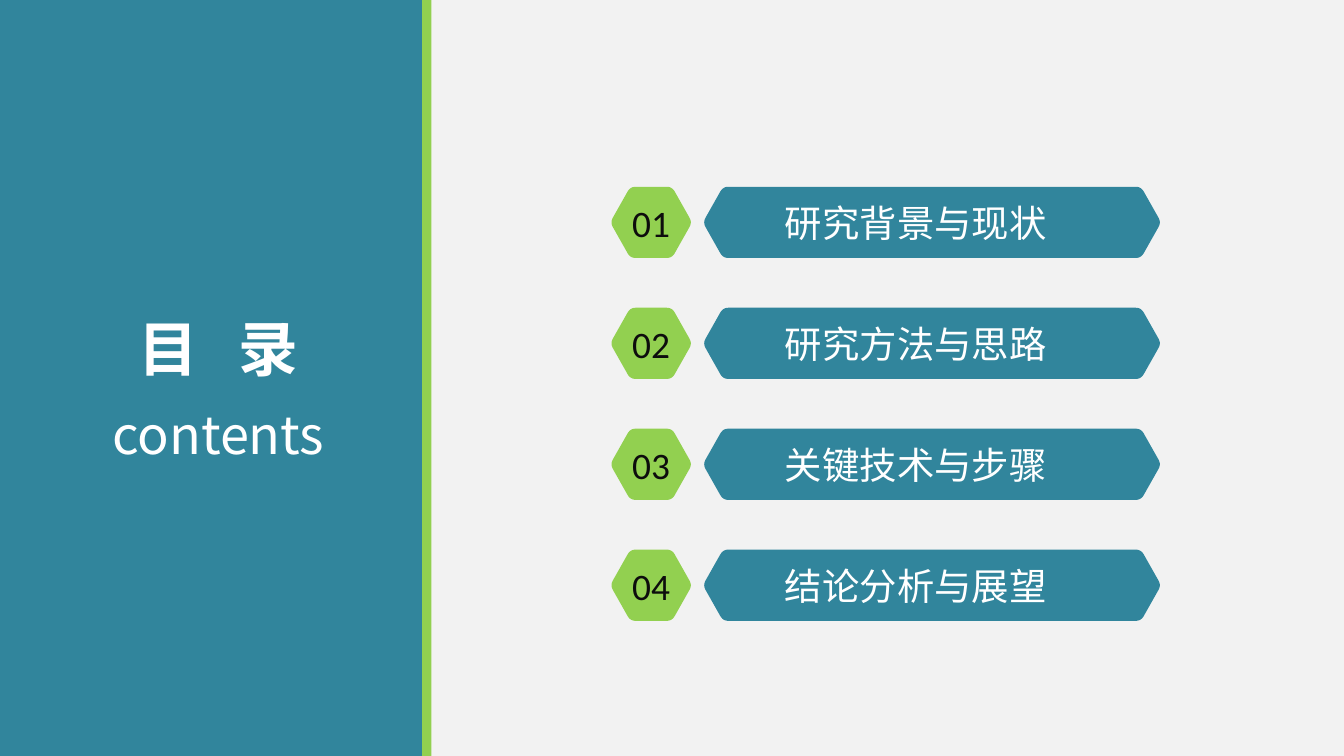
from lxml.etree import SubElement
from pptx import Presentation
from pptx.dml.color import RGBColor
from pptx.enum.shapes import MSO_SHAPE as Preset
from pptx.enum.text import MSO_ANCHOR as Anchor, MSO_AUTO_SIZE as AutoSize, PP_ALIGN as Align
from pptx.oxml.ns import qn
from pptx.util import Inches, Pt

TEAL, GREEN, PALE, WHITE, INK = "31859C", "92D050", "F2F2F2", "FFFFFF", "0D0D0D"
CJK = "Noto Sans CJK SC"
WIDTH = 10
HEIGHT = WIDTH * 9 / 16
TOPICS = ["研究背景与现状", "研究方法与思路", "关键技术与步骤", "结论分析与展望"]
FIRST_ROW, ROW_STEP, ROW_HEIGHT = 1.39, 0.9, 0.53
SLANT, ROUNDING, CURVE_STEPS = 0.15, 0.04, 6


def paint(fill, color):
    """Make a fill solid in a hex colour."""
    fill.solid()
    fill.fore_color.rgb = RGBColor.from_string(color)


def write(paragraph, text, size=20, color=WHITE, font=CJK, bold=False, align=Align.LEFT, tracking=0):
    """Add a formatted run to a paragraph, with letter spacing in points."""
    paragraph.alignment = align
    run = paragraph.add_run()
    run.text = text
    run.font.size, run.font.bold, run.font.name = Pt(size), bold, font
    run.font.color.rgb = RGBColor.from_string(color)
    properties = run.font._element
    SubElement(properties, qn("a:ea")).set("typeface", font)
    if tracking:
        properties.set("spc", str(tracking * 100))


def finish(shape, color):
    """Give a shape a flat fill without outline or shadow."""
    paint(shape.fill, color)
    shape.line.fill.background()
    shape.shadow.inherit = False


def add_band(slide, left, width, color):
    """Draw a band over the full slide height."""
    band = slide.shapes.add_shape(
        Preset.RECTANGLE, Inches(left), Inches(0), Inches(width), Inches(HEIGHT))
    finish(band, color)


def toward(start, end, distance):
    """Return the point at a distance from start on the way to end."""
    dx, dy = end[0] - start[0], end[1] - start[1]
    share = distance / (dx * dx + dy * dy) ** 0.5
    return start[0] + dx * share, start[1] + dy * share


def rounded_outline(corners):
    """Replace each corner of a polygon by a short quadratic curve."""
    points = []
    for i, corner in enumerate(corners):
        enter = toward(corner, corners[i - 1], ROUNDING)
        leave = toward(corner, corners[(i + 1) % len(corners)], ROUNDING)
        for step in range(CURVE_STEPS + 1):
            t = step / CURVE_STEPS
            points.append(tuple(
                (1 - t) ** 2 * a + 2 * t * (1 - t) * b + t * t * c
                for a, b, c in zip(enter, corner, leave)))
    return points


def add_hexagon(slide, left, top, width, color):
    """Draw a rounded hexagon and return its text frame."""
    right, middle, bottom = left + width, top + ROW_HEIGHT / 2, top + ROW_HEIGHT
    corners = [(left + SLANT, top), (right - SLANT, top), (right, middle),
               (right - SLANT, bottom), (left + SLANT, bottom), (left, middle)]
    points = [(Inches(x), Inches(y)) for x, y in rounded_outline(corners)]
    builder = slide.shapes.build_freeform(*points[0])
    builder.add_line_segments(points[1:], close=True)
    hexagon = builder.convert_to_shape()
    finish(hexagon, color)
    frame = hexagon.text_frame
    frame.word_wrap, frame.vertical_anchor = True, Anchor.MIDDLE
    return frame


def add_topic(slide, index, topic):
    """Draw one row of the contents: its number and its label."""
    top = FIRST_ROW + index * ROW_STEP
    number = add_hexagon(slide, 4.54, top, 0.61, GREEN)
    write(number.paragraphs[0], f"{index + 1:02}", color=INK, font="Calibri", align=Align.CENTER)
    label = add_hexagon(slide, 5.23, top, 3.41, TEAL)
    label.margin_left = Inches(0.6)
    write(label.paragraphs[0], topic)


def add_heading(slide):
    """Place the two-line title on the side panel."""
    title = slide.shapes.title
    title.left, title.top, title.width, title.height = map(Inches, (0.22, 2.11, 2.81, 1.41))
    slide.shapes._spTree.append(title._element)
    frame = title.text_frame
    frame.word_wrap, frame.auto_size = True, AutoSize.SHAPE_TO_FIT_TEXT
    frame.vertical_anchor = Anchor.TOP
    chinese, english = frame.paragraphs[0], frame.add_paragraph()
    for line in (chinese, english):
        line.line_spacing, line.space_before = 1.3, Pt(0)
    write(chinese, "目 ", size=32, bold=True, align=Align.CENTER, tracking=7)
    write(chinese, "录", size=32, bold=True, align=Align.CENTER)
    write(english, "contents", size=28, align=Align.CENTER)


def main():
    """Build the contents slide."""
    deck = Presentation()
    deck.slide_width, deck.slide_height = Inches(WIDTH), Inches(HEIGHT)
    slide = deck.slides.add_slide(deck.slide_layouts[5])
    paint(slide.background.fill, PALE)
    add_band(slide, 0.1, 3.11, GREEN)
    add_band(slide, 0, 3.14, TEAL)
    for index, topic in enumerate(TOPICS):
        add_topic(slide, index, topic)
    add_heading(slide)
    deck.save("out.pptx")


if __name__ == "__main__":
    main()
